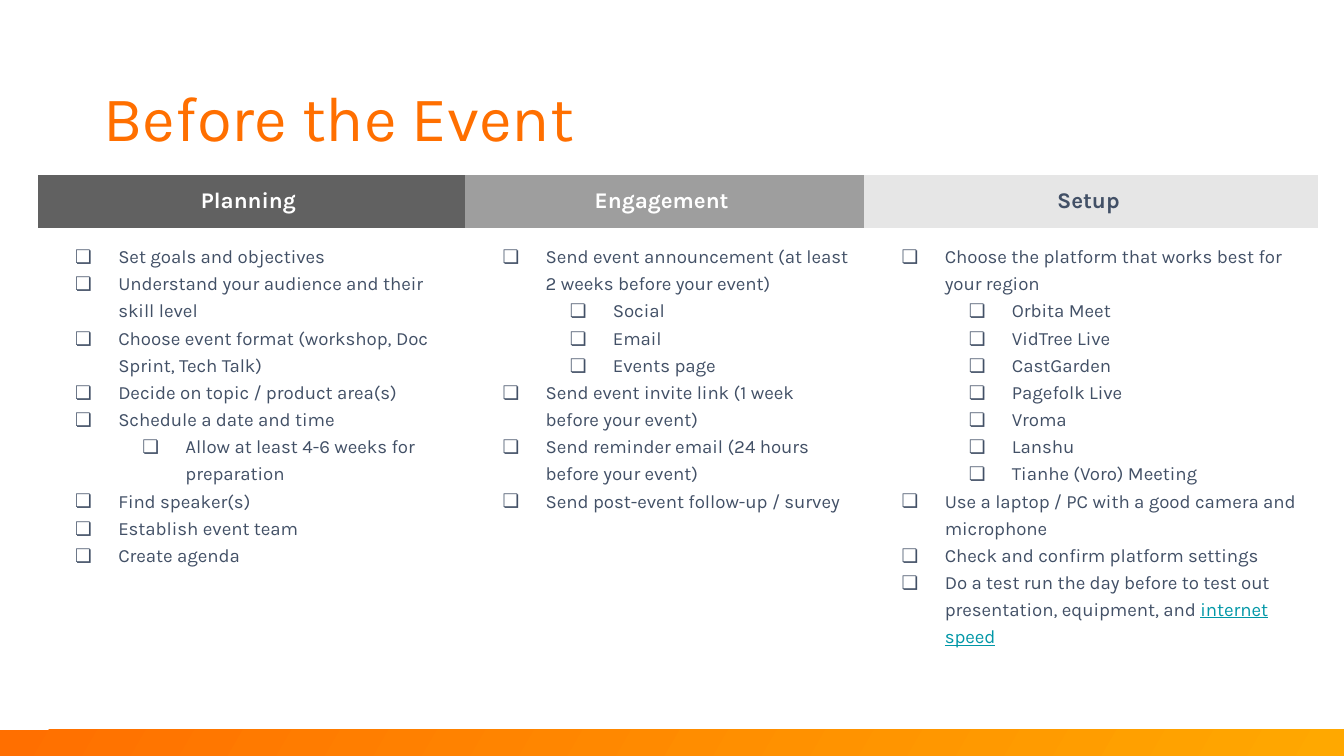
from dataclasses import dataclass

from lxml import etree
from pptx import Presentation
from pptx.dml.color import RGBColor
from pptx.enum.shapes import MSO_SHAPE
from pptx.enum.text import MSO_ANCHOR, MSO_AUTO_SIZE, PP_ALIGN
from pptx.oxml.ns import qn
from pptx.util import Inches, Pt

RECTANGLE = MSO_SHAPE.RECTANGLE
TOP = MSO_ANCHOR.TOP
NO_FIT = MSO_AUTO_SIZE.NONE
LEFT, CENTER = PP_ALIGN.LEFT, PP_ALIGN.CENTER

WIDTH = Inches(10)
HEIGHT = WIDTH * 9 // 16
INSET = Inches(0.1)
TITLE_ONLY = 5
PLAIN_TABLE = "{2D5ABB26-0587-4C30-8999-92F81FD0307C}"
COLUMN_WIDTHS = (3.18, 2.97, 3.38)
ROW_HEIGHTS = (0.37, 3.27)
MARGINS = {f"margin_{side}": INSET for side in ("left", "right", "top", "bottom")}


@dataclass(frozen=True)
class Theme:
    """Colours, font and type sizes of the slide."""
    font: str = "Karla"
    accent: str = "FF6F00"
    accent_end: str = "FFA800"
    ink: str = "425066"
    link: str = "0097A7"
    light: str = "FFFFFF"
    title_size: int = 34
    heading_size: int = 12
    body_size: int = 10


THEME = Theme()

PHASES = [
    ("Planning ", "616161", THEME.light, [
        (0, "Set goals and objectives"),
        (0, "Understand your audience and their skill level"),
        (0, "Choose event format (workshop, Doc Sprint, Tech Talk)"),
        (0, "Decide on topic / product area(s)"),
        (0, "Schedule a date and time"),
        (1, "Allow at least 4-6 weeks for preparation"),
        (0, "Find speaker(s)"),
        (0, "Establish event team"),
        (0, "Create agenda"),
    ]),
    ("Engagement ", "9E9E9E", THEME.light, [
        (0, "Send event announcement (at least 2 weeks before your event)"),
        (1, "Social"),
        (1, "Email"),
        (1, "Events page"),
        (0, "Send event invite link (1 week before your event)"),
        (0, "Send reminder email (24 hours before your event)"),
        (0, "Send post-event follow-up / survey"),
    ]),
    ("Setup ", "E6E6E6", THEME.ink, [
        (0, "Choose the platform that works best for your region"),
        (1, "Orbita Meet"),
        (1, "VidTree Live"),
        (1, "CastGarden"),
        (1, "Pagefolk Live"),
        (1, "Vroma"),
        (1, "Lanshu"),
        (1, "Tianhe (Voro) Meeting"),
        (0, "Use a laptop / PC with a good camera and microphone"),
        (0, "Check and confirm platform settings"),
        (0, "Do a test run the day before to test out presentation, equipment, and ",
         "internet speed"),
    ]),
]


def apply(target, formats):
    """Set every attribute of a format dict on the target."""
    for attribute, setting in formats.items():
        setattr(target, attribute, setting)


def add_run(paragraph, text, size, color, **formats):
    """Append a run in the theme font."""
    run = paragraph.add_run()
    run.text = text
    apply(run.font, {"name": THEME.font, "size": Pt(size), **formats})
    run.font.color.rgb = RGBColor.from_string(color)


def set_checkbox(paragraph, level):
    """Give a paragraph a hanging checkbox bullet for its level."""
    properties = paragraph._p.get_or_add_pPr()
    properties.set("marL", str(Inches(0.5 * (level + 1))))
    properties.set("indent", str(Inches(-0.32)))
    color = etree.SubElement(properties, qn("a:buClr"))
    etree.SubElement(color, qn("a:srgbClr"), val=THEME.ink)
    etree.SubElement(properties, qn("a:buFont"), typeface=THEME.font)
    etree.SubElement(properties, qn("a:buChar"), char="❏")


def add_footer_band(slide):
    """Draw the gradient band along the bottom edge."""
    top = Inches(5.43)
    band = slide.shapes.add_shape(RECTANGLE, 0, top, WIDTH, HEIGHT - top)
    band.shadow.inherit = False
    band.line.fill.background()
    band.fill.gradient()
    band.fill.gradient_angle = 330
    ends = (0, THEME.accent), (1, THEME.accent_end)
    for stop, (position, color) in zip(band.fill.gradient_stops, ends):
        stop.position = position
        stop.color.rgb = RGBColor.from_string(color)


def set_title(slide, text):
    """Place and fill the title placeholder."""
    title = slide.shapes.title
    apply(title, {"left": Inches(0.67), "top": Inches(0.48),
                  "width": Inches(7.33), "height": Inches(0.49)})
    apply(title.text_frame, {**MARGINS, "vertical_anchor": TOP,
                             "auto_size": NO_FIT, "word_wrap": True})
    heading = title.text_frame.paragraphs[0]
    apply(heading, {"alignment": LEFT, "line_spacing": 1.0})
    add_run(heading, text, THEME.title_size, THEME.accent)


def fill_heading(cell, text, fill, color):
    """Fill a phase heading cell."""
    cell.fill.solid()
    cell.fill.fore_color.rgb = RGBColor.from_string(fill)
    heading = cell.text_frame.paragraphs[0]
    heading.alignment = CENTER
    add_run(heading, text, THEME.heading_size, color, bold=True)


def fill_checklist(cell, tasks):
    """Fill a cell with checkbox tasks, each with an optional link phrase."""
    cell.fill.background()
    frame = cell.text_frame
    for index, (level, text, *links) in enumerate(tasks):
        task = frame.add_paragraph() if index else frame.paragraphs[0]
        set_checkbox(task, level)
        apply(task, {"level": level, "line_spacing": 1.25})
        add_run(task, text, THEME.body_size, THEME.ink)
        for link in links:
            add_run(task, link, THEME.body_size, THEME.link, underline=True)


def add_phase_table(slide):
    """Add the table with one column for each phase."""
    table = slide.shapes.add_table(
        len(ROW_HEIGHTS), len(PHASES), Inches(0.28), Inches(1.3),
        Inches(sum(COLUMN_WIDTHS)), Inches(sum(ROW_HEIGHTS))).table
    apply(table, {"first_row": False, "horz_banding": False})
    table._tbl.tblPr.find(qn("a:tableStyleId")).text = PLAIN_TABLE
    for row, height in zip(table.rows, ROW_HEIGHTS):
        row.height = Inches(height)
    for index, (name, fill, color, tasks) in enumerate(PHASES):
        table.columns[index].width = Inches(COLUMN_WIDTHS[index])
        heading, checklist = table.cell(0, index), table.cell(1, index)
        for cell in (heading, checklist):
            apply(cell, MARGINS)
        fill_heading(heading, name, fill, color)
        fill_checklist(checklist, tasks)


def main():
    """Build the slide and save it."""
    presentation = Presentation()
    apply(presentation, {"slide_width": WIDTH, "slide_height": HEIGHT})
    slide = presentation.slides.add_slide(presentation.slide_layouts[TITLE_ONLY])
    add_footer_band(slide)
    set_title(slide, "Before the Event")
    add_phase_table(slide)
    presentation.save("out.pptx")


if __name__ == "__main__":
    main()
